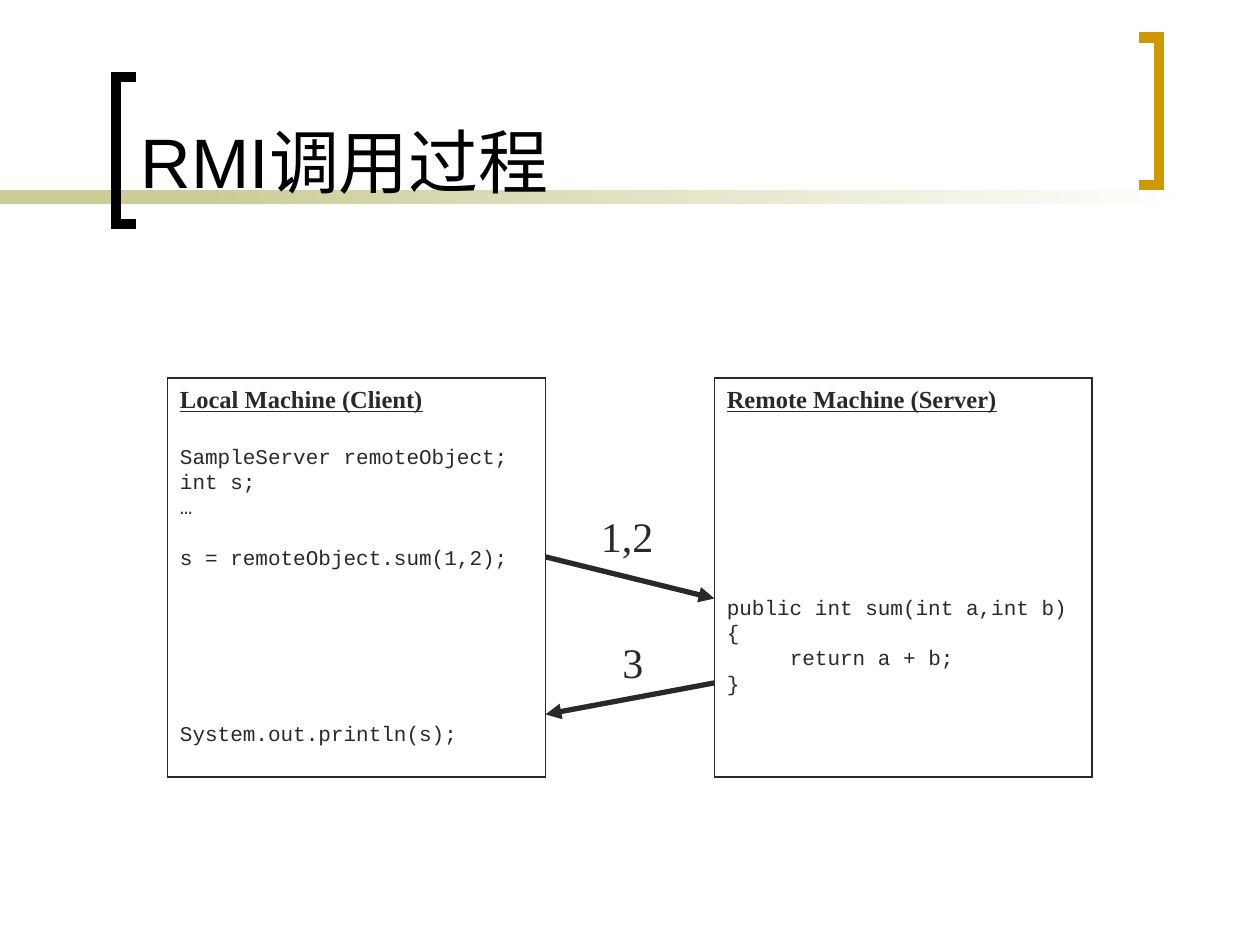
import pptx
import pptx.dml.color
import pptx.enum.shapes
import pptx.enum.text
import pptx.oxml
import pptx.oxml.ns
import pptx.util

Inches, Pt = pptx.util.Inches, pptx.util.Pt
RGBColor = pptx.dml.color.RGBColor
RECTANGLE = pptx.enum.shapes.MSO_SHAPE.RECTANGLE
ANCHOR = pptx.enum.text.MSO_ANCHOR
qn = pptx.oxml.ns.qn

BLACK = RGBColor(0x00, 0x00, 0x00)
WHITE = RGBColor(0xFF, 0xFF, 0xFF)
INK = RGBColor(0x29, 0x29, 0x29)
GOLD = RGBColor(0xCC, 0x99, 0x00)
KHAKI = RGBColor(0xCC, 0xCC, 0x99)
SERIF, MONO, SANS = "Times New Roman", "Courier New", "Arial"

TITLE = "RMI调用过程"
BOX_TOP, BOX_WIDTH, BOX_HEIGHT = 3, 3, 3.17
CLIENT_LEFT, SERVER_LEFT = 1.33, 5.67
CLIENT_EDGE = CLIENT_LEFT + BOX_WIDTH
HEADING_GAP, CODE_LINE = 17, 14.4  # points

# left, heading, code lines as (text, blank code lines above, indent in inches)
MACHINES = [
    (CLIENT_LEFT, "Local Machine (Client)", [
        ("SampleServer remoteObject;", 0, 0),
        ("int s;", 0, 0),
        ("…", 0, 0),
        ("s = remoteObject.sum(1,2);", 1, 0),
        ("System.out.println(s);", 6, 0),
    ]),
    (SERVER_LEFT, "Remote Machine (Server)", [
        ("public int sum(int a,int b) {", 6, 0),
        ("return a + b;", 0, 0.5),
        ("}", 0, 0),
    ]),
]
# start, end, label, label position and width
MESSAGES = [
    ((CLIENT_EDGE, 4.42), (SERVER_LEFT, 4.75), "1,2", (4.67, 4), 0.64),
    ((SERVER_LEFT, 5.42), (CLIENT_EDGE, 5.67), "3", (4.84, 5), 0.38),
]
BRACKETS = [
    ([(1.08, 1.78), (0.92, 1.78), (0.92, 0.61), (1.08, 0.61)], BLACK),
    ([(9.04, 0.3), (9.2, 0.3), (9.2, 1.47), (9.04, 1.47)], GOLD),
]


def add_run(paragraph, text, font_name, size, color):
    paragraph.alignment = pptx.enum.text.PP_ALIGN.LEFT
    run = paragraph.add_run()
    run.text = text
    run.font.name = font_name
    run.font.size = Pt(size)
    run.font.color.rgb = color
    return run


def style_line(line, color, width, detail, **attributes):
    """Colour and width, plus one extra line element such as a join or arrowhead."""
    line.color.rgb = color
    line.width = Pt(width)
    outline = line._get_or_add_ln()
    outline.append(outline.makeelement(qn(detail), attributes))


def add_rectangle(slide, left, top, width, height):
    rectangle = slide.shapes.add_shape(
        RECTANGLE, Inches(left), Inches(top), Inches(width), Inches(height))
    rectangle.shadow.inherit = False
    return rectangle


def add_label(slide, text, left, top, width, height, font_name, size, color):
    label = slide.shapes.add_textbox(
        Inches(left), Inches(top), Inches(width), Inches(height))
    add_run(label.text_frame.paragraphs[0], text, font_name, size, color)
    return label.text_frame


def add_rule(slide):
    """Horizontal rule: a solid start, then a fade to white."""
    solid = add_rectangle(slide, 0, 1.51, 2.33, 0.11)
    solid.fill.solid()
    solid.fill.fore_color.rgb = KHAKI
    fade = add_rectangle(slide, 1.58, 1.51, 7.92, 0.11)
    fade.fill.gradient()
    fade.fill.gradient_angle = 0
    for stop, color, position in zip(fade.fill.gradient_stops, (KHAKI, WHITE), (0, 1)):
        stop.color.rgb = color
        stop.position = position
    for part in (solid, fade):
        part.line.fill.background()


def add_bracket(slide, points, color):
    corners = [(Inches(x), Inches(y)) for x, y in points]
    builder = slide.shapes.build_freeform(*corners[0])
    builder.add_line_segments(corners[1:], close=False)
    bracket = builder.convert_to_shape()
    bracket.shadow.inherit = False
    bracket.fill.background()
    style_line(bracket.line, color, 6, "a:miter", lim="800000")


def add_machine(slide, left, heading, code):
    box = add_rectangle(slide, left, BOX_TOP, BOX_WIDTH, BOX_HEIGHT)
    box.fill.background()
    style_line(box.line, INK, 1, "a:miter", lim="800000")
    frame = box.text_frame
    frame.word_wrap = True
    frame.vertical_anchor = ANCHOR.TOP
    title = add_run(frame.paragraphs[0], heading, SERIF, 14, INK)
    title.font.bold = title.font.underline = True
    for index, (text, blanks, indent) in enumerate(code):
        paragraph = frame.add_paragraph()
        gap = blanks * CODE_LINE + (HEADING_GAP if index == 0 else 0)
        paragraph.space_before = Pt(gap)
        paragraph.line_spacing = Pt(CODE_LINE)
        add_run(paragraph, text, MONO, 12, INK)
        if indent:
            properties = paragraph._p.get_or_add_pPr()
            properties.set("marL", str(Inches(indent)))
            properties.set("indent", "0")


def add_arrow(slide, start, end):
    arrow = slide.shapes.add_connector(
        pptx.enum.shapes.MSO_CONNECTOR.STRAIGHT,
        *(Inches(value) for value in start + end))
    style_line(arrow.line, INK, 3, "a:tailEnd", type="triangle")
    properties = arrow._element.spPr
    properties.append(properties.makeelement(qn("a:effectLst"), {}))


def main():
    deck = pptx.Presentation()
    deck.slide_width, deck.slide_height = Inches(10), Inches(7.5)
    slide = deck.slides.add_slide(deck.slide_layouts[6])
    add_rule(slide)
    for points, color in BRACKETS:
        add_bracket(slide, points, color)
    title = add_label(slide, TITLE, 1.02, 0.11, 7.83, 1.55, SANS, 40, BLACK)
    title.word_wrap = True
    title.vertical_anchor = ANCHOR.BOTTOM
    for left, heading, code in MACHINES:
        add_machine(slide, left, heading, code)
    for start, end, text, (left, top), width in MESSAGES:
        add_arrow(slide, start, end)
        label = add_label(slide, text, left, top, width, 0.5, SERIF, 24, INK)
        label.word_wrap = False
        label.auto_size = pptx.enum.text.MSO_AUTO_SIZE.SHAPE_TO_FIT_TEXT
    deck.save("out.pptx")


if __name__ == "__main__":
    main()
